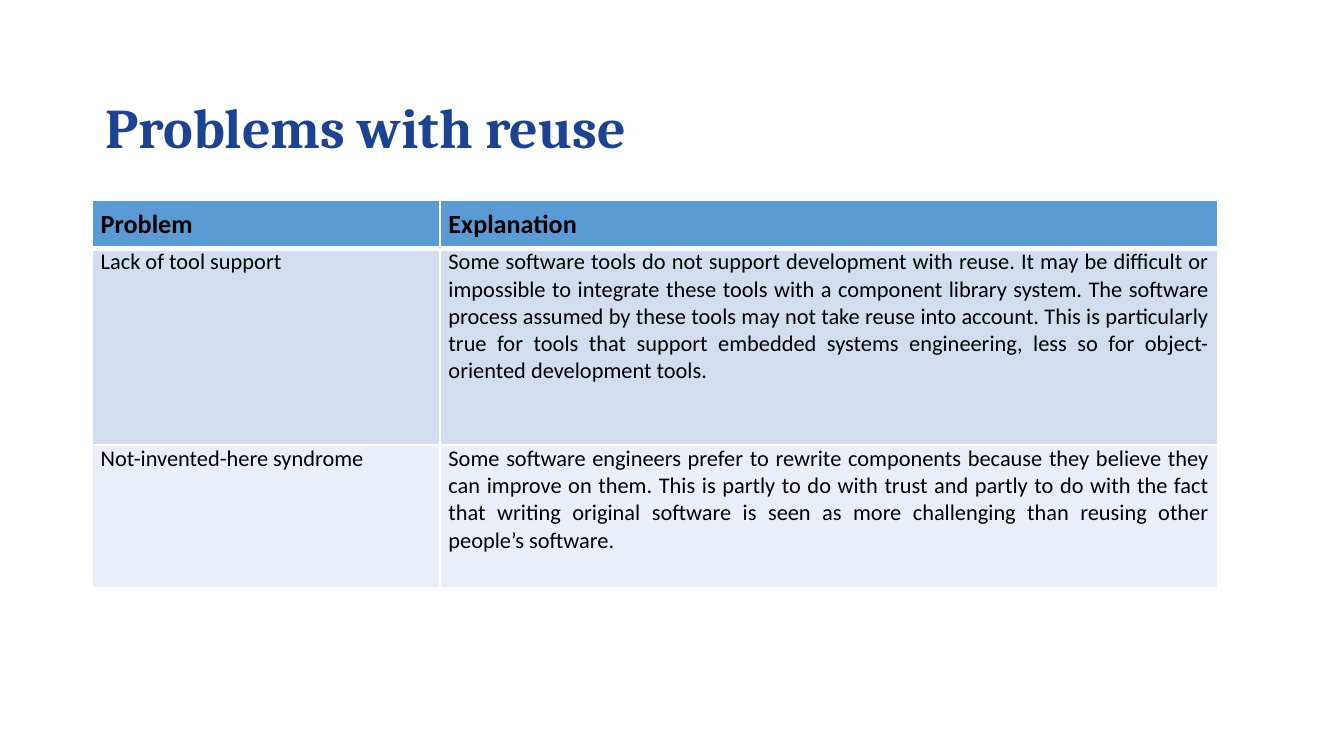
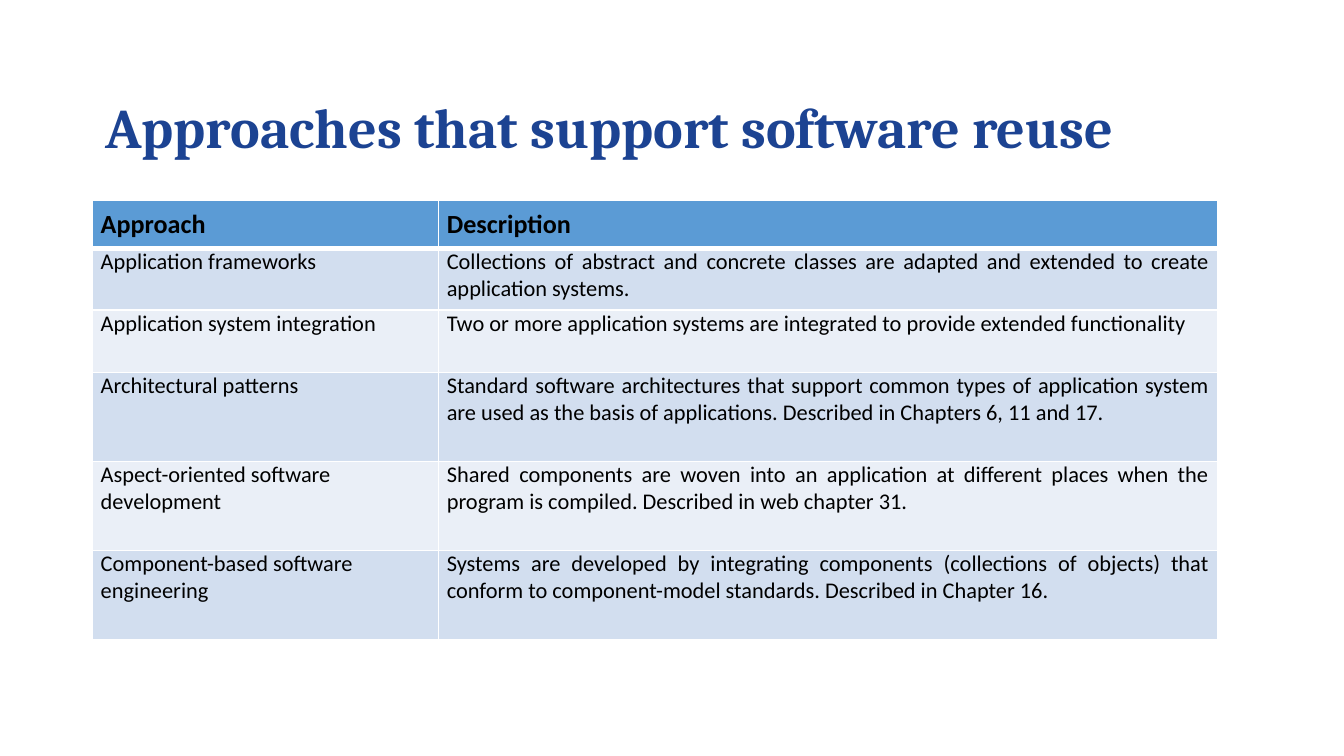
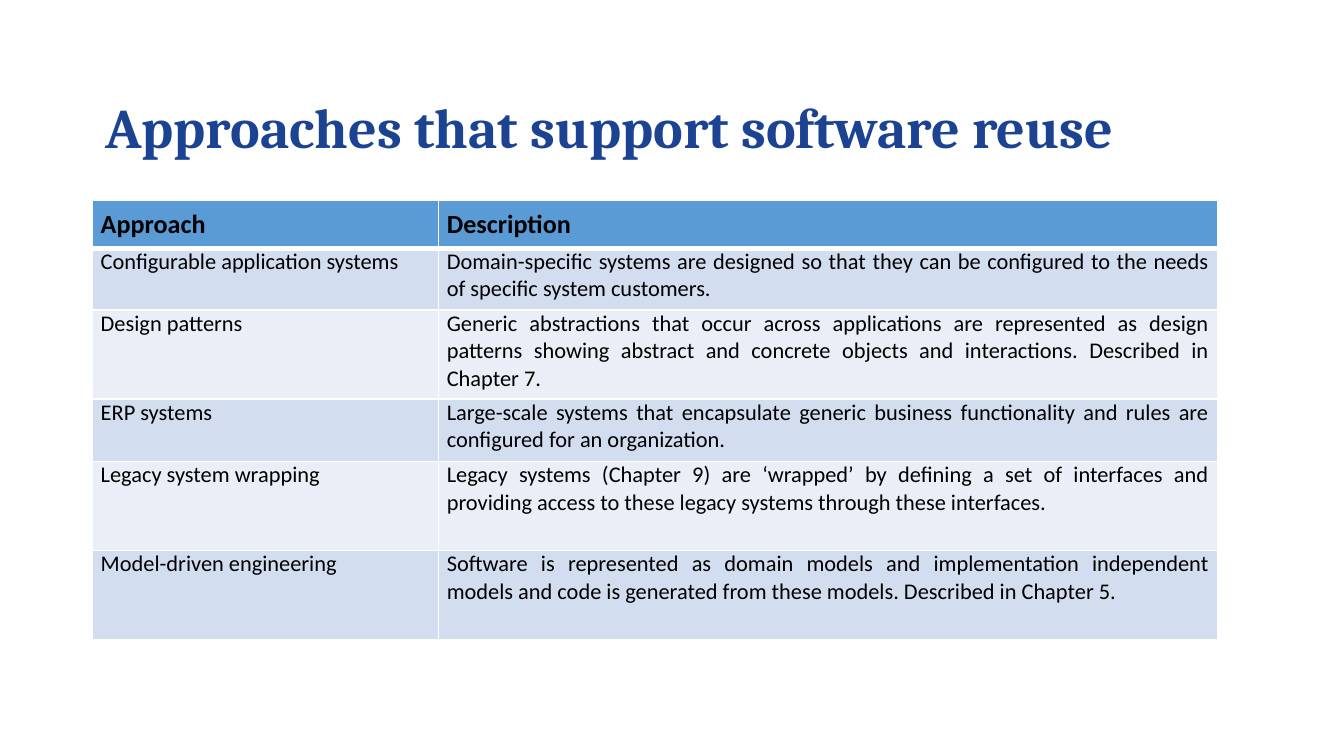
from dataclasses import dataclass

from lxml import etree
from pptx import Presentation
from pptx.dml.color import RGBColor
from pptx.enum.text import MSO_ANCHOR, PP_ALIGN
from pptx.oxml.ns import qn
from pptx.slide import Slide
from pptx.table import _Cell
from pptx.text.text import _Paragraph
from pptx.util import Emu, Pt

EMU_PER_PX = 5715  # 160 px to the inch
LEFT, JUSTIFY = PP_ALIGN.LEFT, PP_ALIGN.JUSTIFY
MIDDLE = MSO_ANCHOR.MIDDLE

SLIDE_WIDTH, SLIDE_HEIGHT = 1600, 900
CONTENT_LEFT, CONTENT_WIDTH = 110, 1340
TITLE_TOP, TITLE_HEIGHT = 100, 110
TABLE_TOP = 238
HEADER_HEIGHT, SHORT_ROW, TALL_ROW = 51, 74, 106
CELL_MARGIN = 10

TITLE_FONT, TABLE_FONT = "Cambria", "Calibri"
TITLE_COLOR, TEXT_COLOR, BORDER_COLOR = "1C4392", "000000", "FFFFFF"
HEADER_FILL = "5B9BD5"
BAND_FILLS = ("D2DEEF", "EAEFF7")
THIN, THICK = 1, 3


@dataclass(frozen=True)
class Entry:
    term: str
    explanation: str
    height: int


@dataclass(frozen=True)
class TopicSlide:
    title: str
    headings: tuple[str, str]
    term_width: int
    entries: tuple[Entry, ...]


APPROACHES_TITLE = "Approaches that support software reuse"
APPROACH_HEADINGS = ("Approach", "Description")
APPROACH_WIDTH = 412

TOPICS = (
    TopicSlide("Problems with reuse", ("Problem", "Explanation"), 414, (
        Entry("Lack of tool support",
              "Some software tools do not support development with reuse. It may be "
              "difficult or impossible to integrate these tools with a component library "
              "system. The software process assumed by these tools may not take reuse into "
              "account. This is particularly true for tools that support embedded systems "
              "engineering, less so for object-oriented development tools.", 234),
        Entry("Not-invented-here syndrome",
              "Some software engineers prefer to rewrite components because they believe "
              "they can improve on them. This is partly to do with trust and partly to do "
              "with the fact that writing original software is seen as more challenging "
              "than reusing other people’s software.", 170),
    )),
    TopicSlide(APPROACHES_TITLE, APPROACH_HEADINGS, APPROACH_WIDTH, (
        Entry("Application frameworks",
              "Collections of abstract and concrete classes are adapted and extended to "
              "create application systems.", SHORT_ROW),
        Entry("Application system integration",
              "Two or more application systems are integrated to provide extended "
              "functionality", SHORT_ROW),
        Entry("Architectural patterns",
              "Standard software architectures that support common types of application "
              "system are used as the basis of applications. Described in Chapters 6, 11 "
              "and 17.", TALL_ROW),
        Entry("Aspect-oriented software development",
              "Shared components are woven into an application at different places when "
              "the program is compiled. Described in web chapter 31.", TALL_ROW),
        Entry("Component-based software engineering",
              "Systems are developed by integrating components (collections of objects) "
              "that conform to component-model standards. Described in Chapter 16.",
              TALL_ROW),
    )),
    TopicSlide(APPROACHES_TITLE, APPROACH_HEADINGS, APPROACH_WIDTH, (
        Entry("Configurable application systems",
              "Domain-specific systems are designed so that they can be configured to the "
              "needs of specific system customers.", SHORT_ROW),
        Entry("Design patterns",
              "Generic abstractions that occur across applications are represented as "
              "design patterns showing abstract and concrete objects and interactions. "
              "Described in Chapter 7.", TALL_ROW),
        Entry("ERP systems",
              "Large-scale systems that encapsulate generic business functionality and "
              "rules are configured for an organization.", SHORT_ROW),
        Entry("Legacy system wrapping",
              "Legacy systems (Chapter 9) are ‘wrapped’ by defining a set of interfaces "
              "and providing access to these legacy systems through these interfaces.",
              TALL_ROW),
        Entry("Model-driven engineering",
              "Software is represented as domain models and implementation independent "
              "models and code is generated from these models. Described in Chapter 5.",
              TALL_ROW),
    )),
)


def px(length: int) -> Emu:
    return Emu(length * EMU_PER_PX)


def rgb(hex_color: str) -> RGBColor:
    return RGBColor.from_string(hex_color)


def add_run(paragraph: _Paragraph, text: str, font: str, size: int,
            color: str, bold: bool) -> None:
    run = paragraph.add_run()
    run.text = text
    run.font.name = font
    run.font.size = Pt(size)
    run.font.bold = bold
    run.font.color.rgb = rgb(color)


def set_borders(cell: _Cell, widths: dict[str, int]) -> None:
    """Put border lines, keyed by side in schema order, ahead of the cell fill."""
    properties = cell._tc.get_or_add_tcPr()
    for position, (side, width) in enumerate(widths.items()):
        line = etree.Element(qn(f"a:ln{side}"), w=str(Pt(width)))
        fill = etree.SubElement(line, qn("a:solidFill"))
        etree.SubElement(fill, qn("a:srgbClr"), val=BORDER_COLOR)
        properties.insert(position, line)


def fill_cell(cell: _Cell, text: str, fill: str, align: PP_ALIGN,
              is_header: bool) -> None:
    cell.margin_left = cell.margin_right = cell.margin_bottom = px(CELL_MARGIN)
    cell.margin_top = px(CELL_MARGIN if is_header else 0)
    cell.fill.solid()
    cell.fill.fore_color.rgb = rgb(fill)
    paragraph = cell.text_frame.paragraphs[0]
    paragraph.alignment = align
    add_run(paragraph, text, TABLE_FONT, 14 if is_header else 12, TEXT_COLOR, is_header)
    # A body cell shares its top edge with the bottom border of the row above.
    sides = {"L": THIN, "R": THIN}
    sides |= {"T": THIN, "B": THICK} if is_header else {"B": THIN}
    set_borders(cell, sides)


def add_title(slide: Slide, title: str) -> None:
    box = slide.shapes.add_textbox(px(CONTENT_LEFT), px(TITLE_TOP),
                                   px(CONTENT_WIDTH), px(TITLE_HEIGHT))
    frame = box.text_frame
    frame.word_wrap = True
    frame.vertical_anchor = MIDDLE
    paragraph = frame.paragraphs[0]
    paragraph.line_spacing = 0.9
    add_run(paragraph, title, TITLE_FONT, 30, TITLE_COLOR, True)


def add_topic_table(slide: Slide, topic: TopicSlide) -> None:
    heights = [HEADER_HEIGHT, *(entry.height for entry in topic.entries)]
    table = slide.shapes.add_table(len(heights), 2, px(CONTENT_LEFT), px(TABLE_TOP),
                                   px(CONTENT_WIDTH), px(sum(heights))).table
    table.columns[0].width = px(topic.term_width)
    table.columns[1].width = px(CONTENT_WIDTH - topic.term_width)
    for row, height in zip(table.rows, heights):
        row.height = px(height)

    for column, heading in enumerate(topic.headings):
        fill_cell(table.cell(0, column), heading, HEADER_FILL, JUSTIFY, True)
    for index, entry in enumerate(topic.entries):
        band = BAND_FILLS[index % len(BAND_FILLS)]
        fill_cell(table.cell(index + 1, 0), entry.term, band, LEFT, False)
        fill_cell(table.cell(index + 1, 1), entry.explanation, band, JUSTIFY, False)


def main() -> None:
    presentation = Presentation()
    presentation.slide_width = px(SLIDE_WIDTH)
    presentation.slide_height = px(SLIDE_HEIGHT)
    blank_layout = presentation.slide_layouts[6]
    for topic in TOPICS:
        slide = presentation.slides.add_slide(blank_layout)
        add_topic_table(slide, topic)
        add_title(slide, topic.title)
    presentation.save("out.pptx")


if __name__ == "__main__":
    main()
